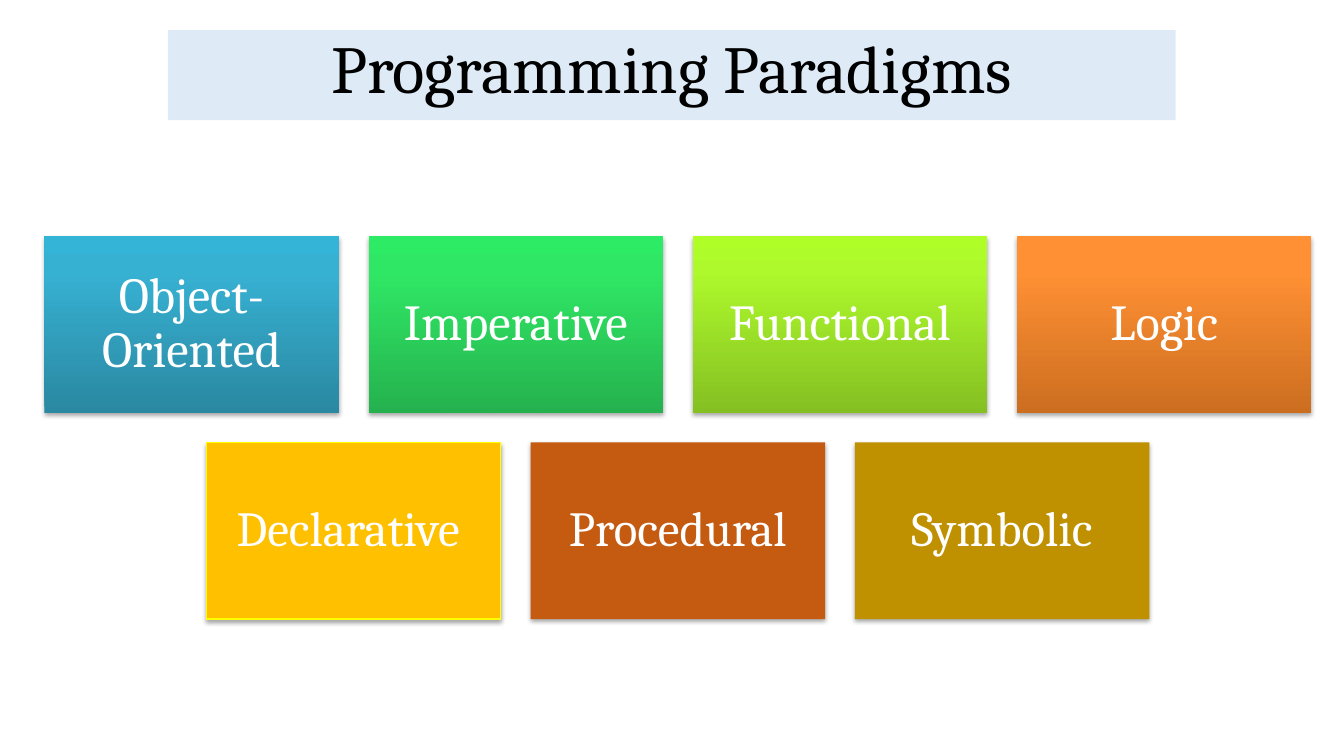
import copy

import pptx
import pptx.dml.color
import pptx.enum.shapes
import pptx.enum.text
import pptx.oxml
import pptx.util
from pptx.dml.color import RGBColor
from pptx.util import Cm

FONT = "Cambria"
BLACK = RGBColor(0x00, 0x00, 0x00)
WHITE = RGBColor(0xFF, 0xFF, 0xFF)
PALE_BLUE = RGBColor(0xDE, 0xEB, 0xF7)
YELLOW = RGBColor(0xFF, 0xFF, 0x00)
GOLD = RGBColor(0xFF, 0xC0, 0x00)
RUST = RGBColor(0xC5, 0x5A, 0x11)
OCHRE = RGBColor(0xBF, 0x90, 0x00)
# Gradient colours run from the bottom of a tile to its top.
BLUES = (RGBColor(0x2A, 0x88, 0xA2), RGBColor(0x37, 0xB1, 0xD2), RGBColor(0x34, 0xB4, 0xD6))
GREENS = (RGBColor(0x25, 0xB2, 0x4E), RGBColor(0x30, 0xE7, 0x65), RGBColor(0x2D, 0xEB, 0x64))
LIMES = (RGBColor(0x85, 0xC0, 0x22), RGBColor(0xAD, 0xF9, 0x2C), RGBColor(0xAF, 0xFE, 0x28))
ORANGES = (RGBColor(0xCC, 0x6E, 0x20), RGBColor(0xFF, 0x90, 0x34), RGBColor(0xFF, 0x91, 0x36))
GRADIENT_STOPS = (0, 0.8, 1)

TILE_WIDTH, TILE_HEIGHT, GAP = Cm(7.42), Cm(4.45), Cm(0.75)

# Each row: text size, then (label, fill colours, line colour) for its tiles.
ROWS = (
    (36, (("Object-Oriented", BLUES, None), ("Imperative", GREENS, None),
          ("Functional", LIMES, None), ("Logic", ORANGES, None))),
    (35, (("Declarative ", (GOLD,), YELLOW), ("Procedural", (RUST,), None),
          ("Symbolic", (OCHRE,), None))),
)

SHADOW = (
    '<a:outerShdw xmlns:a="http://schemas.openxmlformats.org/drawingml/2006/main"'
    ' blurRad="39370" dist="22860" dir="5400000" algn="ctr" rotWithShape="0">'
    '<a:srgbClr val="000000"><a:alpha val="35000"/></a:srgbClr></a:outerShdw>'
)


def fill_shape(shape, colours):
    """Fill with one plain colour, or with a gradient rising from the bottom."""
    if len(colours) == 1:
        shape.fill.solid()
        shape.fill.fore_color.rgb = colours[0]
        return
    shape.fill.gradient()
    shape.fill.gradient_angle = 90
    stop_list = shape.fill._fill._gradFill.gsLst
    stop_list.append(copy.deepcopy(stop_list[-1]))
    for stop, position, colour in zip(shape.fill.gradient_stops, GRADIENT_STOPS, colours):
        stop.position = position
        stop.color.rgb = colour


def add_label_box(page, box, text, size, text_colour, colours, line_colour=None):
    shape = page.shapes.add_shape(pptx.enum.shapes.MSO_SHAPE.RECTANGLE, *box)
    shape.shadow.inherit = False
    fill_shape(shape, colours)
    if line_colour is None:
        shape.line.fill.background()
    else:
        shape.line.color.rgb = line_colour
        shape.line.width = pptx.util.Pt(0.75)
    frame = shape.text_frame
    frame.word_wrap = True
    frame.text = text
    para = frame.paragraphs[0]
    para.alignment = pptx.enum.text.PP_ALIGN.CENTER
    para.line_spacing = 0.9
    font = para.runs[0].font
    font.name = FONT
    font.size = pptx.util.Pt(size)
    font.color.rgb = text_colour
    return shape


def add_title(page, box):
    title = add_label_box(page, box, "Programming Paradigms", 48, BLACK, (PALE_BLUE,))
    title.text_frame.vertical_anchor = pptx.enum.text.MSO_ANCHOR.TOP


def add_tile(page, box, label, size, colours, line_colour):
    tile = add_label_box(page, box, label, size, WHITE, colours, line_colour)
    frame = tile.text_frame
    frame.vertical_anchor = pptx.enum.text.MSO_ANCHOR.MIDDLE
    frame.margin_left = frame.margin_right = Cm(0.38)
    frame.margin_top = frame.margin_bottom = Cm(0.38)
    effects = tile._element.spPr.find(pptx.oxml.ns.qn("a:effectLst"))
    effects.append(pptx.oxml.parse_xml(SHADOW))


def add_tile_rows(page, left, top, width):
    """Stack the rows of tiles, each centred within the width."""
    for row_number, (size, tiles) in enumerate(ROWS):
        row_width = len(tiles) * (TILE_WIDTH + GAP) - GAP
        row_left = left + (width - row_width) // 2
        row_top = top + row_number * (TILE_HEIGHT + GAP)
        for column, (label, colours, line_colour) in enumerate(tiles):
            tile_left = row_left + column * (TILE_WIDTH + GAP)
            box = (tile_left, row_top, TILE_WIDTH, TILE_HEIGHT)
            add_tile(page, box, label, size, colours, line_colour)


def main():
    deck = pptx.Presentation()
    deck.slide_width, deck.slide_height = Cm(33.87), Cm(19.05)
    page = deck.slides.add_slide(deck.slide_layouts[6])
    add_title(page, (Cm(4.23), Cm(0.76), Cm(25.4), Cm(2.27)))
    add_tile_rows(page, Cm(1.12), Cm(5.95), Cm(31.93))
    deck.save("out.pptx")


if __name__ == "__main__":
    main()
